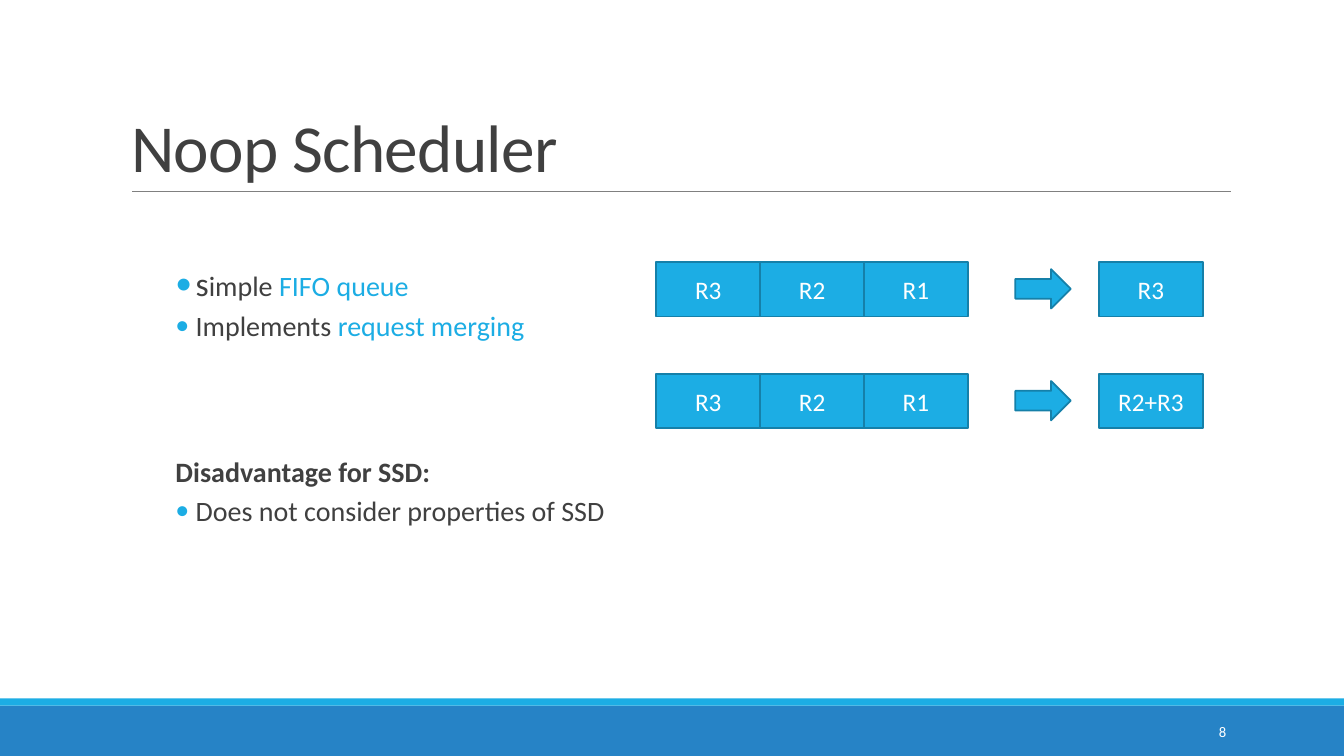
from dataclasses import dataclass

from lxml import etree
from pptx import Presentation
from pptx.dml.color import RGBColor
from pptx.enum.shapes import MSO_CONNECTOR, MSO_SHAPE
from pptx.enum.text import MSO_ANCHOR, MSO_AUTO_SIZE, PP_ALIGN
from pptx.oxml.ns import qn
from pptx.util import Inches, Pt

RECT, ARROW = MSO_SHAPE.RECTANGLE, MSO_SHAPE.RIGHT_ARROW
STRAIGHT = MSO_CONNECTOR.STRAIGHT
TOP, MIDDLE, BOTTOM = MSO_ANCHOR.TOP, MSO_ANCHOR.MIDDLE, MSO_ANCHOR.BOTTOM
LEFT, CENTER, RIGHT = PP_ALIGN.LEFT, PP_ALIGN.CENTER, PP_ALIGN.RIGHT
NO_FIT = MSO_AUTO_SIZE.NONE


@dataclass(frozen=True)
class Theme:
    font: str = "Calibri"
    text: str = "404040"
    accent: str = "1CADE4"
    edge: str = "1580A9"
    footer: str = "2683C6"
    rule: str = "808080"
    white: str = "FFFFFF"
    title_pt: float = 48
    initial_pt: float = 24
    body_pt: float = 20
    box_pt: float = 18
    number_pt: float = 10.5


T = Theme()


def set_all(target, **values):
    for name, value in values.items():
        setattr(target, name, value)


def place(sp, x, y, w, h):
    set_all(sp, left=Inches(x), top=Inches(y), width=Inches(w), height=Inches(h))


def add_run(p, text, size, color, bold=False):
    r = p.add_run()
    r.text = text
    set_all(r.font, name=T.font, size=Pt(size), bold=bold)
    r.font.color.rgb = RGBColor.from_string(color)
    return r


def add_block(s, kind, x, y, w, h, fill, edge=None):
    sp = s.shapes.add_shape(kind, Inches(x), Inches(y), Inches(w), Inches(h))
    sp.shadow.inherit = False
    sp.fill.solid()
    sp.fill.fore_color.rgb = RGBColor.from_string(fill)
    if edge:
        sp.line.color.rgb = RGBColor.from_string(edge)
        sp.line.width = Pt(1.25)
    else:
        sp.line.fill.background()
    return sp


def add_request(s, label, x, y, w, h):
    tf = add_block(s, RECT, x, y, w, h, T.accent, T.edge).text_frame
    set_all(tf, vertical_anchor=MIDDLE, word_wrap=True)
    p = tf.paragraphs[0]
    p.alignment = CENTER
    add_run(p, label, T.box_pt, T.white)


def set_bullet(p, bulleted):
    pPr = p._p.get_or_add_pPr()
    pPr.set("marL", str(Inches(0.42 if bulleted else 0.22)))
    pPr.set("indent", str(Inches(-0.2 if bulleted else 0)))
    if bulleted:
        color = etree.SubElement(pPr, qn("a:buClr"))
        etree.SubElement(color, qn("a:srgbClr"), val=T.accent)
        etree.SubElement(pPr, qn("a:buFont"), typeface=T.font)
        etree.SubElement(pPr, qn("a:buChar"), char="•")
    else:
        etree.SubElement(pPr, qn("a:buNone"))


def add_title(s, text, x, y, w, h):
    sp = s.shapes.title
    place(sp, x, y, w, h)
    tf = sp.text_frame
    set_all(tf, vertical_anchor=BOTTOM, word_wrap=True, auto_size=NO_FIT)
    p = tf.paragraphs[0]
    set_all(p, alignment=LEFT, line_spacing=0.85)
    r = add_run(p, text, T.title_pt, T.text)
    r.font._element.set("spc", "-50")
    rule = s.shapes.add_connector(
        STRAIGHT, Inches(x + 0.11), Inches(y + h), Inches(x + w + 0.01), Inches(y + h))
    rule.line.color.rgb = RGBColor.from_string(T.rule)
    rule.line.width = Pt(0.5)
    etree.SubElement(rule._element.spPr, qn("a:effectLst"))


def add_points(s, points, x, y, w, h):
    sp = s.placeholders[1]
    place(sp, x, y, w, h)
    tf = sp.text_frame
    set_all(tf, margin_left=0, margin_right=0, margin_top=Inches(0.05),
            margin_bottom=Inches(0.05), vertical_anchor=TOP,
            word_wrap=True, auto_size=NO_FIT)
    for i, (bulleted, before, runs) in enumerate(points):
        p = tf.add_paragraph() if i else tf.paragraphs[0]
        set_bullet(p, bulleted)
        set_all(p, level=1, alignment=LEFT, line_spacing=0.9,
                space_before=Pt(before), space_after=Pt(4))
        for run in runs:
            add_run(p, *run)


def add_queue(s, waiting, served, x, y, w, h):
    for i, label in reversed(list(enumerate(waiting))):
        add_request(s, label, x + i * w, y, w, h)
    add_block(s, ARROW, x + 3.56, y + 0.07, 0.55, 0.39, T.accent, T.edge)
    add_request(s, served, x + 4.39, y, w, h)


def add_footer(s, number, x, y, w, h):
    band = 0.07
    add_block(s, RECT, x, y + band, w, h - band, T.footer)
    add_block(s, RECT, x, y, w, band, T.accent)
    tb = s.shapes.add_textbox(
        Inches(x + 10.83), Inches(y + 0.13), Inches(1.43), Inches(0.4))
    tf = tb.text_frame
    set_all(tf, vertical_anchor=MIDDLE, word_wrap=True)
    p = tf.paragraphs[0]
    p.alignment = RIGHT
    add_run(p, number, T.number_pt, T.white)


def build_noop_slide(prs):
    s = prs.slides.add_slide(prs.slide_layouts[1])
    add_footer(s, "8", 0, 6.93, 13.33, 0.57)
    add_title(s, "Noop Scheduler", 1.2, 0.31, 11, 1.59)
    add_points(s, [
        (True, 0, [("s", T.initial_pt, T.text), ("imple ", T.body_pt, T.text),
                   ("FIFO queue", T.body_pt, T.accent)]),
        (True, 2, [("Implements ", T.body_pt, T.text),
                   ("request merging", T.body_pt, T.accent)]),
        (False, 79, [("Disadvantage for SSD:", T.body_pt, T.text, True)]),
        (True, 2, [("Does not consider properties of SSD", T.body_pt, T.text)]),
    ], 1.52, 2.6, 11, 4.4)
    for i, served in enumerate(["R3", "R2+R3"]):
        add_queue(s, ["R3", "R2", "R1"], served, 6.51, 2.6 + i * 1.11, 1.03, 0.54)


def main():
    prs = Presentation()
    set_all(prs, slide_width=Inches(13.33), slide_height=Inches(7.5))
    build_noop_slide(prs)
    prs.save("out.pptx")


if __name__ == "__main__":
    main()
